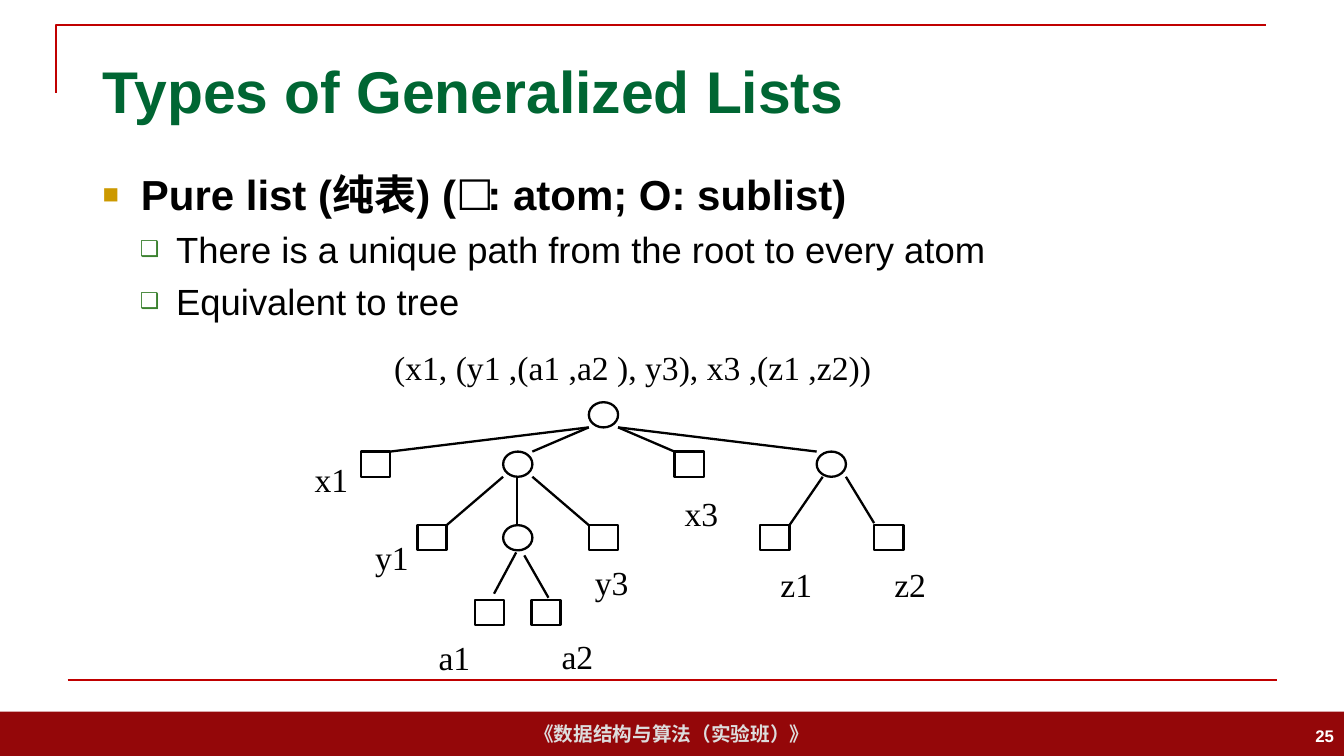
from lxml.etree import SubElement
from pptx import Presentation
from pptx.dml.color import RGBColor
from pptx.enum.shapes import MSO_CONNECTOR as Connector, MSO_SHAPE as Preset
from pptx.enum.text import MSO_ANCHOR as Anchor, PP_ALIGN as Align
from pptx.oxml.ns import qn
from pptx.util import Pt

PX = 9144  # EMU; 100 px to the inch
BLACK, RED, WHITE = "000000", "C00000", "FFFFFF"
NODE_WIDTH, NODE_HEIGHT = 29, 25
TREE_LINE = 1.63

SUBLISTS = {"root": (584, 399), "y": (499, 448), "z": (810, 448), "a": (499, 521)}
# atom: box left, top, label left, top
ATOMS = {
    "x1": (358, 448, 312, 455),
    "x3": (669, 448, 679, 489),
    "y1": (414, 521, 372, 533),
    "y3": (584, 521, 590, 557),
    "z1": (754, 521, 774, 559),
    "z2": (867, 521, 887, 559),
    "a1": (471, 595, 435, 632),
    "a2": (527, 595, 557, 631),
}
# parent, child, side (-1 left, 0 middle, 1 right), start shift, end shift
EDGES = [
    ("root", "x1", -1, (0, 0), (0, 0)),
    ("root", "y", -1, (0, 0), (0, 0)),
    ("root", "x3", 1, (0, 0), (0, 0)),
    ("root", "z", 1, (0, 0), (0, 0)),
    ("y", "y1", -1, (0, 0), (0, 0)),
    ("y", "a", 0, (0, 0), (0, 0)),
    ("y", "y3", 1, (0, 0), (0, 0)),
    ("z", "z1", -1, (6, 0), (0, 0)),
    ("z", "z2", 1, (0, 0), (0, -2)),
    ("a", "a1", -1, (13, 2), (-10, -6)),
    ("a", "a2", 1, (-8, 5), (17, -2)),
]


def color(hex_string):
    return RGBColor.from_string(hex_string)


def emu(*lengths):
    return [length * PX for length in lengths]


def style_line(line, hex_string, width):
    line.color.rgb = color(hex_string)
    line.width = Pt(width)


def add_run(paragraph, text, size, hex_string, bold=False, font="Arial"):
    run = paragraph.add_run()
    run.text = text
    run.font.name = font
    run.font.size = Pt(size)
    run.font.bold = bold
    run.font.color.rgb = color(hex_string)


def add_text_box(slide, box, wrap=True):
    frame = slide.shapes.add_textbox(*emu(*box)).text_frame
    frame.word_wrap = wrap
    return frame


def add_label(slide, text, left, top, width):
    frame = add_text_box(slide, (left, top, width, 40), wrap=False)
    frame.margin_left = frame.margin_top = frame.margin_right = frame.margin_bottom = 0
    add_run(frame.paragraphs[0], text, 24, BLACK, font="Times New Roman")


def add_line(slide, start, end, hex_string, width):
    line = slide.shapes.add_connector(Connector.STRAIGHT, *emu(*start, *end))
    style_line(line.line, hex_string, width)
    SubElement(line._element.spPr, qn("a:effectLst"))


def add_node(slide, preset, left, top):
    node = slide.shapes.add_shape(preset, *emu(left, top, NODE_WIDTH, NODE_HEIGHT))
    node.shadow.inherit = False
    node.fill.background()
    style_line(node.line, BLACK, TREE_LINE)


def add_edge(slide, parent, child, side, start_shift, end_shift):
    """Join the parent's lower corner to the child's facing upper corner."""
    positions = {**SUBLISTS, **ATOMS}
    parent_left, parent_top = positions[parent][:2]
    child_left, child_top = positions[child][:2]
    start = (parent_left + round(NODE_WIDTH * (1 + side) / 2) + start_shift[0],
             parent_top + NODE_HEIGHT + start_shift[1])
    end = (child_left + round(NODE_WIDTH * (1 - side) / 2) + end_shift[0],
           child_top + end_shift[1])
    add_line(slide, start, end, BLACK, TREE_LINE)


def set_bullet(paragraph, character, hex_string, percent, margin, indent):
    properties = paragraph._p.get_or_add_pPr()
    properties.set("marL", str(margin * PX))
    properties.set("indent", str(-indent * PX))
    bullet_color = SubElement(properties, qn("a:buClr"))
    SubElement(bullet_color, qn("a:srgbClr"), val=hex_string)
    SubElement(properties, qn("a:buSzPct"), val=str(percent * 1000))
    SubElement(properties, qn("a:buFont"), typeface="Arial")
    SubElement(properties, qn("a:buChar"), char=character)


def add_frame(slide):
    """Draw the footer band, the corner bracket and the bottom rule."""
    band = slide.shapes.add_shape(Preset.RECTANGLE, *emu(0, 706, 1333, 44))
    band.shadow.inherit = False
    band.fill.solid()
    band.fill.fore_color.rgb = color("940709")
    band.line.fill.background()
    band.text_frame.word_wrap = False
    band.text_frame.vertical_anchor = Anchor.MIDDLE
    paragraph = band.text_frame.paragraphs[0]
    paragraph.alignment = Align.CENTER
    add_run(paragraph, "《数据结构与算法（实验班）》", 14, "DDDDDD", bold=True)

    builder = slide.shapes.build_freeform(56, 92, scale=PX)
    builder.add_line_segments([(56, 25), (1256, 25)], close=False)
    bracket = builder.convert_to_shape()
    bracket.shadow.inherit = False
    bracket.fill.background()
    style_line(bracket.line, RED, 1.5)
    add_line(slide, (67, 675), (1267, 675), RED, 1.5)


def add_title(slide, text):
    title = slide.shapes.title
    title.left, title.top, title.width, title.height = emu(92, 40, 1150, 99)
    title.text_frame.vertical_anchor = Anchor.MIDDLE
    paragraph = title.text_frame.paragraphs[0]
    paragraph.alignment = Align.LEFT
    add_run(paragraph, text, 42, "006633", bold=True)


def add_body(slide):
    frame = add_text_box(slide, (92, 162, 1150, 515))
    heading = frame.paragraphs[0]
    set_bullet(heading, "■", "CC9900", 65, 38, 38)
    add_run(heading, "Pure list (纯表) (☐: atom; O: sublist)", 30, BLACK, bold=True)
    for text in ("There is a unique path from the root to every atom", "Equivalent to tree"):
        paragraph = frame.add_paragraph()
        paragraph.level = 1
        paragraph.space_before = Pt(6)
        set_bullet(paragraph, "❑", "3B812F", 60, 73, 36)
        add_run(paragraph, text, 26, BLACK)


def add_slide_number(slide, number):
    frame = add_text_box(slide, (1033, 710, 300, 40))
    frame.vertical_anchor = Anchor.MIDDLE
    paragraph = frame.paragraphs[0]
    paragraph.alignment = Align.RIGHT
    add_run(paragraph, number, 12, WHITE, bold=True)


def add_tree(slide):
    for position in SUBLISTS.values():
        add_node(slide, Preset.OVAL, *position)
    for edge in EDGES:
        add_edge(slide, *edge)
    for name, (left, top, label_left, label_top) in ATOMS.items():
        add_node(slide, Preset.RECTANGLE, left, top)
        add_label(slide, name, label_left, label_top, 34)


def main():
    presentation = Presentation()
    presentation.slide_width, presentation.slide_height = emu(1333, 750)
    slide = presentation.slides.add_slide(presentation.slide_layouts[5])
    add_frame(slide)
    add_title(slide, "Types of Generalized Lists")
    add_body(slide)
    add_slide_number(slide, "25")
    add_label(slide, "(x1, (y1 ,(a1 ,a2 ), y3), x3 ,(z1 ,z2))", 391, 344, 478)
    add_tree(slide)
    presentation.save("out.pptx")


if __name__ == "__main__":
    main()
